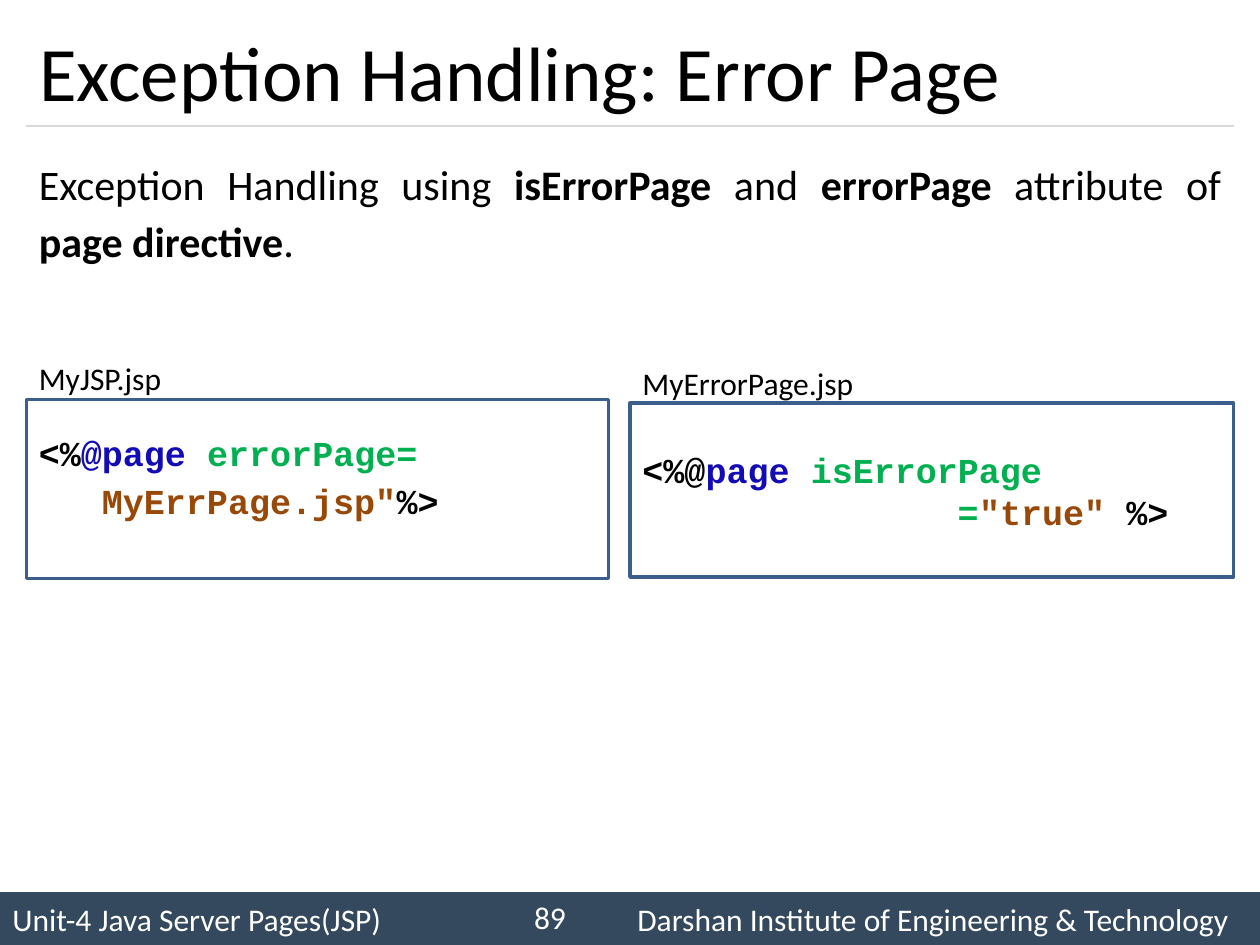
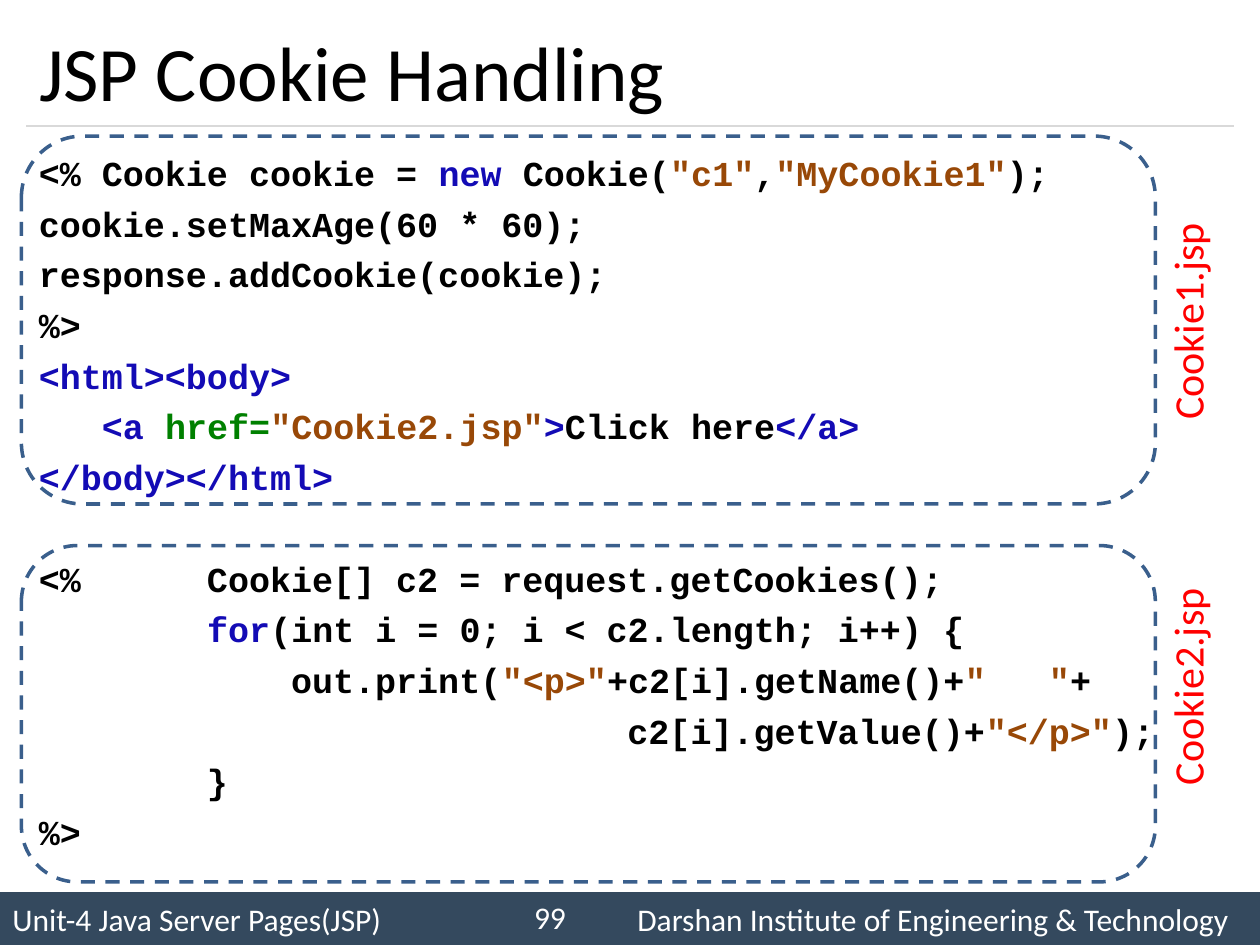
"""Build two lecture slides on JSP error pages and cookie handling."""
from dataclasses import dataclass

from lxml.etree import SubElement
from pptx import Presentation
from pptx.dml.color import RGBColor
from pptx.enum.dml import MSO_LINE
from pptx.enum.shapes import MSO_CONNECTOR, MSO_SHAPE
from pptx.enum.text import MSO_ANCHOR, PP_ALIGN
from pptx.oxml.ns import qn
from pptx.util import Inches, Pt

BLACK = RGBColor(0x00, 0x00, 0x00)
WHITE = RGBColor(0xFF, 0xFF, 0xFF)
RED = RGBColor(0xFF, 0x00, 0x00)
BAND = RGBColor(0x34, 0x49, 0x5E)
RULE = RGBColor(0xD9, 0xD9, 0xD9)
FRAME = RGBColor(0x3A, 0x5F, 0x8C)
KEYWORD = RGBColor(0x13, 0x0B, 0xB5)
STRING = RGBColor(0x98, 0x48, 0x07)
DIRECTIVE = RGBColor(0x00, 0xB0, 0x50)
ATTRIBUTE = RGBColor(0x00, 0x80, 0x00)

LEFT, CONTENT_WIDTH = 0.21, 9.58
BAND_TOP, BAND_HEIGHT = 7.08, 0.42
TITLE_ONLY = 5

COOKIE1_CODE = [
    [("<% Cookie cookie = ", BLACK), ("new", KEYWORD), (" Cookie(", BLACK),
     ('"c1"', STRING), (",", BLACK), ('"MyCookie1"', STRING), (");", BLACK)],
    [("cookie.setMaxAge(60 * 60);", BLACK)],
    [("response.addCookie(cookie);", BLACK)],
    [("%>", BLACK)],
    [("<html><body>", KEYWORD)],
    [("   <a ", KEYWORD), ("href=", ATTRIBUTE), ('"Cookie2.jsp"', STRING),
     (">", KEYWORD), ("Click here", BLACK), ("</a>", KEYWORD)],
    [("</body></html>", KEYWORD)],
]
COOKIE2_CODE = [
    [("<%      Cookie[] c2 = request.getCookies();", BLACK)],
    [("        ", BLACK), ("for", KEYWORD),
     ("(int i = 0; i < c2.length; i++) {", BLACK)],
    [("            out.print(", BLACK), ('"<p>"', STRING),
     ("+c2[i].getName()+", BLACK), ('"   "', STRING), ("+", BLACK)],
    [("                            c2[i].getValue()+", BLACK),
     ('"</p>"', STRING), (");", BLACK)],
    [("        }", BLACK)],
    [("%>", BLACK)],
]
ERROR_PAGE_CALLER = [
    [("<%", BLACK), ("@page ", KEYWORD), ("errorPage=", DIRECTIVE)],
    [('   MyErrPage.jsp"', STRING), ("%>", BLACK)],
]
ERROR_PAGE_TARGET = [
    [("<%@", BLACK), ("page ", KEYWORD), ("isErrorPage", DIRECTIVE)],
    [("               =", DIRECTIVE), ('"true"', STRING), (" %>", BLACK)],
]
EXPLANATION = [
    ("Exception Handling using ", False), ("isErrorPage", True),
    (" and ", False), ("errorPage", True), (" attribute of ", False),
    ("page directive", True), (".", False),
]


@dataclass
class Style:
    """Font and paragraph settings of a text."""
    size: int
    color: RGBColor = BLACK
    align: PP_ALIGN = PP_ALIGN.LEFT


def format_paragraph(paragraph, style):
    """Apply a Calibri style to a paragraph."""
    paragraph.alignment = style.align
    paragraph.font.name = "Calibri"
    paragraph.font.size = Pt(style.size)
    paragraph.font.color.rgb = style.color


def add_label(slide, text, box, style, anchor=MSO_ANCHOR.TOP, wrap=True):
    """Add a one-paragraph text box and return it."""
    label = slide.shapes.add_textbox(*map(Inches, box))
    frame = label.text_frame
    frame.word_wrap = wrap
    frame.vertical_anchor = anchor
    frame.text = text
    format_paragraph(frame.paragraphs[0], style)
    return label


def write_code(frame, code, line_spacing=1.0, space_before=0):
    """Write coloured monospaced code lines into a text frame."""
    for number, line in enumerate(code):
        paragraph = frame.add_paragraph() if number else frame.paragraphs[0]
        paragraph.alignment = PP_ALIGN.LEFT
        paragraph.line_spacing = line_spacing
        paragraph.space_before = Pt(space_before if number else 0)
        paragraph.font.name = "Courier New"
        paragraph.font.size = Pt(20)
        paragraph.font.bold = True
        for text, color in line:
            run = paragraph.add_run()
            run.text = text
            run.font.color.rgb = color


def add_frame(slide, kind, box):
    """Add an unfilled outlined shape and return it."""
    frame = slide.shapes.add_shape(kind, *map(Inches, box))
    frame.shadow.inherit = False
    frame.fill.background()
    frame.line.color.rgb = FRAME
    frame.line.width = Pt(2)
    return frame


def add_footer(slide, page):
    """Add the footer band with unit, page number and institute."""
    band = slide.shapes.add_shape(
        MSO_SHAPE.RECTANGLE, 0, Inches(BAND_TOP), Inches(10), Inches(BAND_HEIGHT))
    band.shadow.inherit = False
    band.fill.solid()
    band.fill.fore_color.rgb = BAND
    band.line.fill.background()
    band.text_frame.text = "Unit-4 Java Server Pages(JSP)"
    band.text_frame.vertical_anchor = MSO_ANCHOR.MIDDLE
    format_paragraph(band.text_frame.paragraphs[0], Style(18, WHITE))
    right = Style(18, WHITE, PP_ALIGN.RIGHT)
    add_label(slide, str(page), (3.92, BAND_TOP, 0.67, 0.4), right, MSO_ANCHOR.MIDDLE)
    add_label(slide, "Darshan Institute of Engineering & Technology",
              (4.85, BAND_TOP, 5, BAND_HEIGHT), right, MSO_ANCHOR.MIDDLE)


def add_lecture_slide(deck, title, page):
    """Add a slide with its title, rule and footer."""
    slide = deck.slides.add_slide(deck.slide_layouts[TITLE_ONLY])
    heading = slide.shapes.title
    heading.left, heading.top = Inches(LEFT), Inches(0.12)
    heading.width, heading.height = Inches(CONTENT_WIDTH), Inches(0.88)
    heading.text_frame.text = title
    heading.text_frame.vertical_anchor = MSO_ANCHOR.MIDDLE
    format_paragraph(heading.text_frame.paragraphs[0], Style(44))
    rule = slide.shapes.add_connector(
        MSO_CONNECTOR.STRAIGHT, Inches(LEFT), Inches(1),
        Inches(LEFT + CONTENT_WIDTH), Inches(1))
    rule.line.color.rgb = RULE
    rule.line.width = Pt(0.75)
    SubElement(rule._element.spPr, qn("a:effectLst"))
    add_footer(slide, page)
    return slide


def add_explanation(slide):
    """Add the justified sentence with its bold terms."""
    box = slide.shapes.add_textbox(
        Inches(LEFT), Inches(1.15), Inches(CONTENT_WIDTH), Inches(1.1))
    box.text_frame.word_wrap = True
    paragraph = box.text_frame.paragraphs[0]
    format_paragraph(paragraph, Style(24, align=PP_ALIGN.JUSTIFY))
    paragraph.line_spacing = 1.14
    for text, bold in EXPLANATION:
        run = paragraph.add_run()
        run.text = text
        run.font.bold = bold


def add_cookie_listing(slide, file_name, code, frame_top, frame_height, code_top, label_top):
    """Add a dashed frame with its code and rotated file name."""
    listing = slide.shapes.add_textbox(
        Inches(LEFT), Inches(code_top), Inches(CONTENT_WIDTH), Inches(0.4 * len(code)))
    listing.text_frame.word_wrap = True
    write_code(listing.text_frame, code, 1.04, 4)
    frame = add_frame(slide, MSO_SHAPE.ROUNDED_RECTANGLE, (0.17, frame_top, 9, frame_height))
    frame.line.dash_style = MSO_LINE.DASH
    label = add_label(slide, file_name, (8.53, label_top, 1.78, 0.5),
                      Style(24, RED), wrap=False)
    label.rotation = 270


def build_error_page_slide(deck):
    """Build the slide on the two error page attributes."""
    slide = add_lecture_slide(deck, "Exception Handling: Error Page", 89)
    add_explanation(slide)
    caller = add_frame(slide, MSO_SHAPE.FLOWCHART_PROCESS, (LEFT, 3.17, 4.62, 1.42))
    caller.text_frame.vertical_anchor = MSO_ANCHOR.TOP
    caller.text_frame.margin_top = Inches(0.21)
    write_code(caller.text_frame, ERROR_PAGE_CALLER, 1.14)
    add_label(slide, "MyJSP.jsp", (LEFT, 2.8, 1.38, 0.4), Style(18))
    target = add_frame(slide, MSO_SHAPE.FLOWCHART_PROCESS, (5, 3.2, 4.79, 1.38))
    target.text_frame.vertical_anchor = MSO_ANCHOR.MIDDLE
    write_code(target.text_frame, ERROR_PAGE_TARGET)
    add_label(slide, "MyErrorPage.jsp", (5, 2.84, 2.42, 0.4), Style(18))


def build_cookie_slide(deck):
    """Build the slide with the two cookie listings."""
    slide = add_lecture_slide(deck, "JSP Cookie Handling", 99)
    add_cookie_listing(slide, "Cookie1.jsp", COOKIE1_CODE, 1.08, 2.92, 1.14, 2.29)
    add_cookie_listing(slide, "Cookie2.jsp", COOKIE2_CODE, 4.33, 2.67, 4.36, 5.19)


def main():
    """Build and save the deck."""
    deck = Presentation()
    deck.slide_width, deck.slide_height = Inches(10), Inches(7.5)
    build_error_page_slide(deck)
    build_cookie_slide(deck)
    deck.save("out.pptx")


if __name__ == "__main__":
    main()
